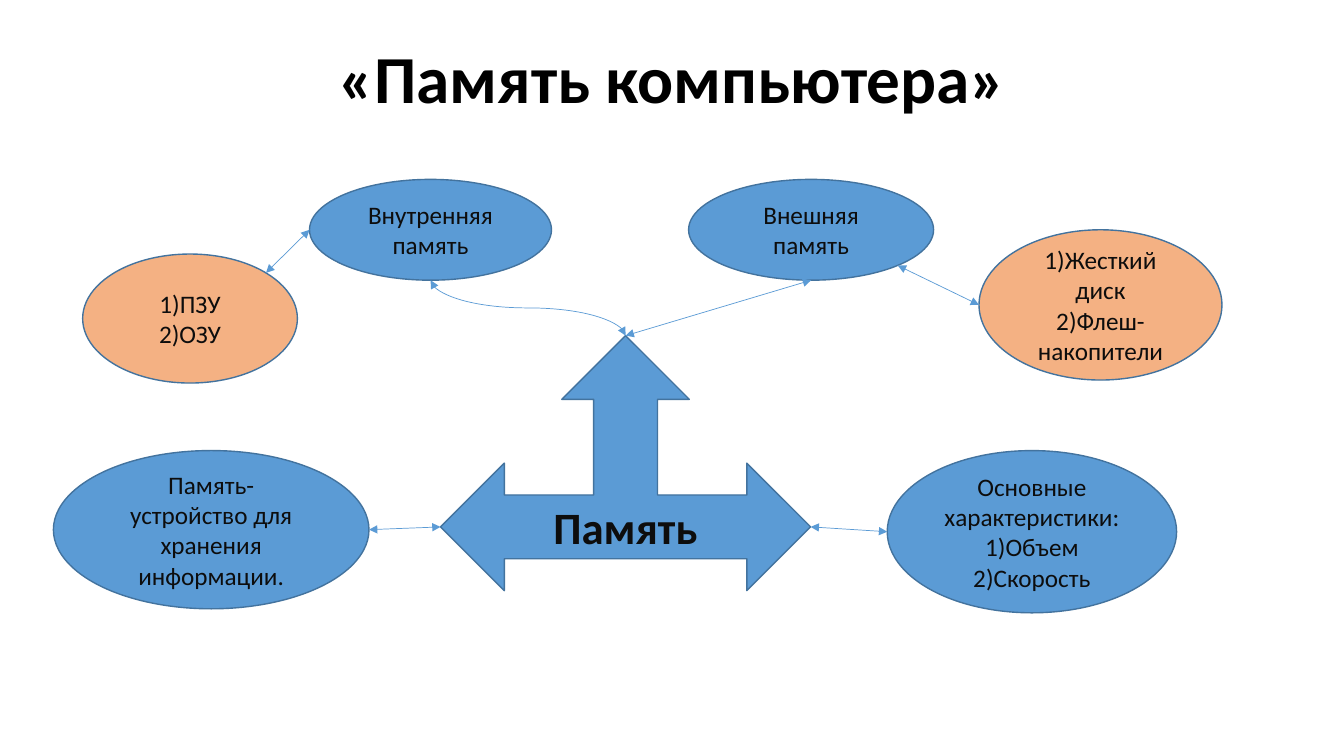
import math
from dataclasses import dataclass

import pptx
import pptx.util
import pptx.dml.color
import pptx.enum.shapes
import pptx.enum.text
import pptx.oxml

Inches = pptx.util.Inches
Kind = pptx.enum.shapes.MSO_SHAPE
Link = pptx.enum.shapes.MSO_CONNECTOR
Anchor = pptx.enum.text.MSO_ANCHOR


@dataclass(frozen=True)
class Theme:
    """Hold the colours, font and sizes of the slide."""
    font: str = "Calibri"
    blue: str = "5B9BD5"
    peach: str = "F4B183"
    edge: str = "43739E"
    ink: str = "0D0D0D"
    black: str = "000000"
    title: int = 48
    hub: int = 32
    body: int = 18
    rim: float = 1
    wire: float = 0.5


@dataclass(frozen=True)
class Box:
    """Hold a place on the slide in inches."""
    left: float
    top: float
    width: float
    height: float

    def spot(self, across, down):
        """Return the point at the given shares of width and height."""
        return self.left + self.width * across, self.top + self.height * down

    def rim(self, angle):
        """Return the point of the inscribed ellipse at an angle, clockwise from the right."""
        turn = math.radians(angle)
        return self.spot(0.5 + math.cos(turn) / 2, 0.5 + math.sin(turn) / 2)

    def place(self):
        """Return the four lengths."""
        return [Inches(n) for n in (self.left, self.top, self.width, self.height)]


THEME = Theme()


def paint(code):
    """Turn a hex code into a colour."""
    return pptx.dml.color.RGBColor.from_string(code)


def write(frame, lines, size, color, bold=False, anchor=Anchor.MIDDLE, space=None):
    """Fill a text frame with centred lines."""
    frame.word_wrap = True
    frame.vertical_anchor = anchor
    for i, line in enumerate(lines):
        para = frame.paragraphs[0] if i == 0 else frame.add_paragraph()
        para.alignment = pptx.enum.text.PP_ALIGN.CENTER
        para.line_spacing = space
        run = para.add_run()
        run.text = line
        run.font.name = THEME.font
        run.font.size = pptx.util.Pt(size)
        run.font.bold = bold
        run.font.color.rgb = paint(color)


def head(slide, box, text):
    """Add the title."""
    frame = slide.shapes.add_textbox(*box.place()).text_frame
    write(frame, [text], THEME.title, THEME.black, True, Anchor.BOTTOM, 0.9)


def node(slide, box, lines, fill=THEME.blue, kind=Kind.OVAL, size=THEME.body, bold=False):
    """Add a filled shape with its text."""
    shape = slide.shapes.add_shape(kind, *box.place())
    shape.shadow.inherit = False
    shape.fill.solid()
    shape.fill.fore_color.rgb = paint(fill)
    shape.line.color.rgb = paint(THEME.edge)
    shape.line.width = pptx.util.Pt(THEME.rim)
    write(shape.text_frame, lines, size, THEME.ink, bold)


def wire(slide, start, end, kind=Link.STRAIGHT):
    """Add a thin line with an arrowhead at each end."""
    line = slide.shapes.add_connector(kind, *[Inches(n) for n in (*start, *end)])
    line.line.color.rgb = paint(THEME.blue)
    line.line.width = pptx.util.Pt(THEME.wire)
    stroke = line.line._get_or_add_ln()
    for tag in ("a:headEnd", "a:tailEnd"):
        stroke.append(pptx.oxml.parse_xml(
            f'<{tag} xmlns:a="http://schemas.openxmlformats.org/drawingml/2006/main" type="triangle"/>'))
    line._element.spPr.append(pptx.oxml.xmlchemy.OxmlElement("a:effectLst"))
    return line


def curve(slide, start, end):
    """Add a curve that leaves downwards, as a sideways curve turned by 270 degrees."""
    mid_x, mid_y = (start[0] + end[0]) / 2, (start[1] + end[1]) / 2
    half_x, half_y = (end[1] - start[1]) / 2, (end[0] - start[0]) / 2
    line = wire(slide, (mid_x + half_x, mid_y - half_y),
                (mid_x - half_x, mid_y + half_y), Link.CURVE)
    line._element.spPr.xfrm.set("rot", str(270 * 60000))


def scheme(slide, box):
    """Add the memory map: the hub arrow, its ovals and the links."""
    def part(left, top, width, height):
        return Box(box.left + left, box.top + top, width, height)

    hub = part(3.84, 1.55, 3.67, 2.53)
    role = part(0, 2.69, 3.13, 1.57)
    inner = part(2.54, 0, 2.4, 1)
    outer = part(6.3, 0, 2.43, 1)
    disks = part(9.18, 0.5, 2.41, 1.49)
    chips = part(0.29, 0.74, 2.13, 1.28)
    traits = part(8.27, 2.69, 2.87, 1.61)

    node(slide, hub, ["Память"], kind=Kind.LEFT_RIGHT_UP_ARROW, size=THEME.hub, bold=True)
    node(slide, role, ["Память-устройство для хранения информации."])
    node(slide, inner, ["Внутренняя память"])
    node(slide, outer, ["Внешняя память"])
    node(slide, disks, ["1)Жесткий диск", "2)Флеш-накопители"], THEME.peach)
    node(slide, chips, ["1)ПЗУ", "2)ОЗУ"], THEME.peach)
    node(slide, traits, ["Основные характеристики:", "1)Объем", "2)Скорость"])

    tip = hub.spot(0.5, 0)
    curve(slide, inner.rim(90), tip)
    for start, end in (
        (outer.rim(90), tip),
        (inner.rim(180), chips.rim(315)),
        (outer.rim(45), disks.rim(180)),
        (role.rim(0), hub.spot(0, 0.75)),
        (traits.rim(180), hub.spot(1, 0.75)),
    ):
        wire(slide, start, end)


def main():
    """Build and save the slide."""
    deck = pptx.Presentation()
    deck.slide_width, deck.slide_height = Inches(13.33), Inches(7.5)
    slide = deck.slides.add_slide(deck.slide_layouts[6])
    head(slide, Box(1.67, 0.31, 10, 0.91), "«Память компьютера»")
    scheme(slide, Box(0.53, 1.78, 11.59, 4.3))
    deck.save("out.pptx")


if __name__ == "__main__":
    main()
